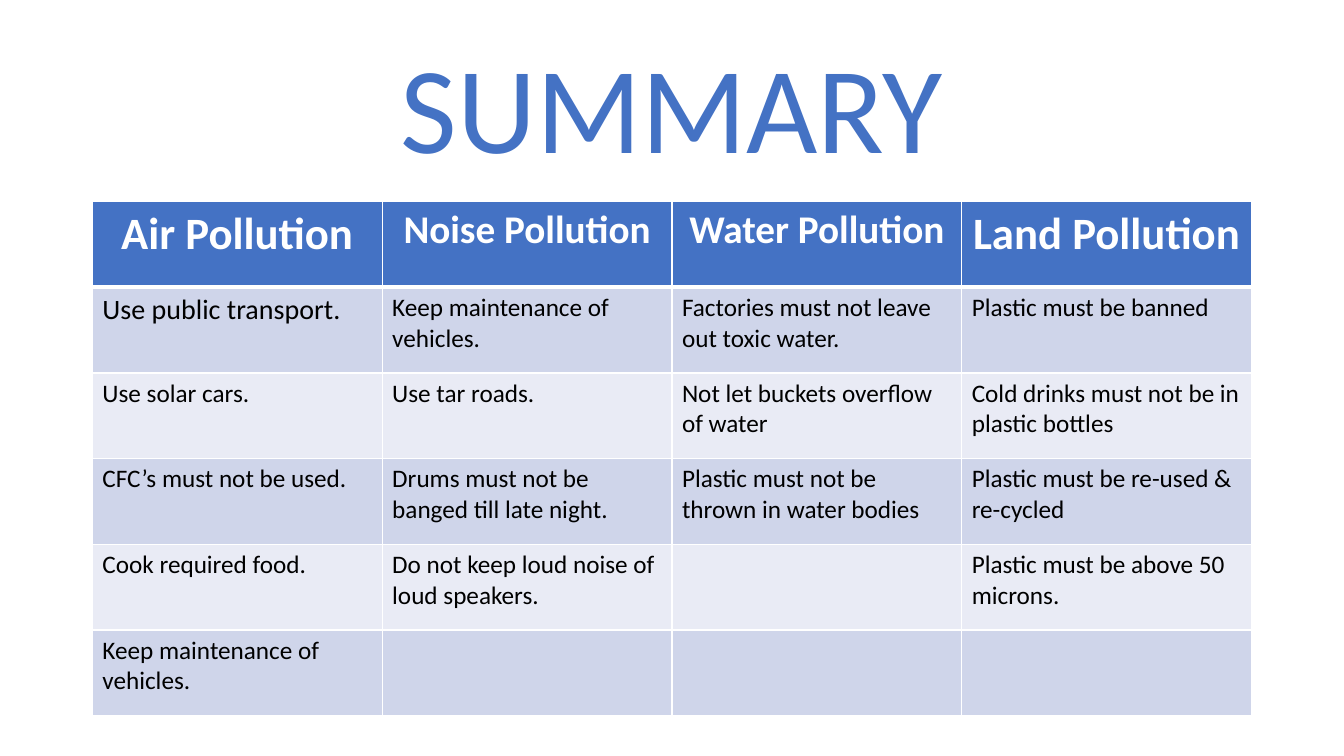
from dataclasses import dataclass

from lxml import etree
from pptx import Presentation
from pptx.dml.color import RGBColor
from pptx.enum.text import MSO_ANCHOR, MSO_AUTO_SIZE, PP_ALIGN
from pptx.oxml.ns import qn
from pptx.util import Pt

WHITE = RGBColor(0xFF, 0xFF, 0xFF)
BLACK = RGBColor(0, 0, 0)
BLUE = RGBColor(0x44, 0x72, 0xC4)
DARK_BAND = RGBColor(0xCF, 0xD5, 0xEA)
LIGHT_BAND = RGBColor(0xE9, 0xEB, 0xF5)

CENTER, LEFT = PP_ALIGN.CENTER, PP_ALIGN.LEFT
MIDDLE = MSO_ANCHOR.MIDDLE
NO_AUTOFIT = MSO_AUTO_SIZE.NONE

FONT = "Calibri"
TITLE_ONLY = 5
MARGIN, CONTENT_WIDTH = 66, 828
TITLE_TOP, TITLE_HEIGHT = 28.8, 104.4
TABLE_TOP, ROW_HEIGHT = 144, 61.2
THIN, THICK = 1, 3


@dataclass(frozen=True)
class Topic:
    heading: str
    heading_size: float
    actions: tuple[str, ...]
    first_size: float = 18


TOPICS = (
    Topic("Air Pollution", 32, (
        "Use public transport.", "Use solar cars.", "CFC’s must not be used.",
        "Cook required food.", "Keep maintenance of vehicles."), first_size=20),
    Topic("Noise Pollution", 28, (
        "Keep maintenance of vehicles.", "Use tar roads.",
        "Drums must not be banged till late night.",
        "Do not keep loud noise of loud speakers.")),
    Topic("Water Pollution", 28, (
        "Factories must not leave out toxic water.",
        "Not let buckets overflow of water",
        "Plastic must not be thrown in water bodies")),
    Topic("Land Pollution", 32, (
        "Plastic must be banned", "Cold drinks must not be in plastic bottles",
        "Plastic must be re-used & re-cycled", "Plastic must be above 50 microns.")),
)


def write_text(frame, text: str, *, size: float, color: RGBColor,
               bold: bool = False, align=LEFT, line_spacing: float = 1.0) -> None:
    para = frame.paragraphs[0]
    para.alignment = align
    para.line_spacing = line_spacing
    span = para.add_run()
    span.text = text
    span.font.name = FONT
    span.font.size = Pt(size)
    span.font.bold = bold
    span.font.color.rgb = color


def set_borders(cell, *, top: float, bottom: float) -> None:
    properties = cell._tc.get_or_add_tcPr()
    for side, width in (("L", THIN), ("R", THIN), ("T", top), ("B", bottom)):
        line = etree.SubElement(properties, qn(f"a:ln{side}"), w=str(Pt(width)))
        fill = etree.SubElement(line, qn("a:solidFill"))
        etree.SubElement(fill, qn("a:srgbClr"), val=str(WHITE))


def paint_cell(cell, row: int) -> None:
    # Borders come before the fill in the cell properties
    set_borders(cell, top=THICK if row == 1 else THIN,
                bottom=THICK if row == 0 else THIN)
    cell.fill.solid()
    band = DARK_BAND if row % 2 else LIGHT_BAND
    cell.fill.fore_color.rgb = BLUE if row == 0 else band


def add_title(page) -> None:
    title = page.shapes.title
    title.left, title.top = Pt(MARGIN), Pt(TITLE_TOP)
    title.width, title.height = Pt(CONTENT_WIDTH), Pt(TITLE_HEIGHT)
    frame = title.text_frame
    frame.auto_size = NO_AUTOFIT
    frame.vertical_anchor = MIDDLE
    write_text(frame, "SUMMARY", size=88, color=BLUE, align=CENTER, line_spacing=0.9)


def add_summary_table(page, topics: tuple[Topic, ...]) -> None:
    row_count = 1 + max(len(topic.actions) for topic in topics)
    table = page.shapes.add_table(
        row_count, len(topics), Pt(MARGIN), Pt(TABLE_TOP),
        Pt(CONTENT_WIDTH), Pt(ROW_HEIGHT * row_count)).table
    for column, topic in enumerate(topics):
        for row in range(row_count):
            paint_cell(table.cell(row, column), row)
        write_text(table.cell(0, column).text_frame, topic.heading,
                   size=topic.heading_size, color=WHITE, bold=True, align=CENTER)
        for row, action in enumerate(topic.actions, start=1):
            write_text(table.cell(row, column).text_frame, action,
                       size=topic.first_size if row == 1 else 18, color=BLACK)


def main() -> None:
    deck = Presentation()
    deck.slide_width, deck.slide_height = Pt(960), Pt(540)
    page = deck.slides.add_slide(deck.slide_layouts[TITLE_ONLY])
    add_title(page)
    add_summary_table(page, TOPICS)
    deck.save("out.pptx")


if __name__ == "__main__":
    main()
